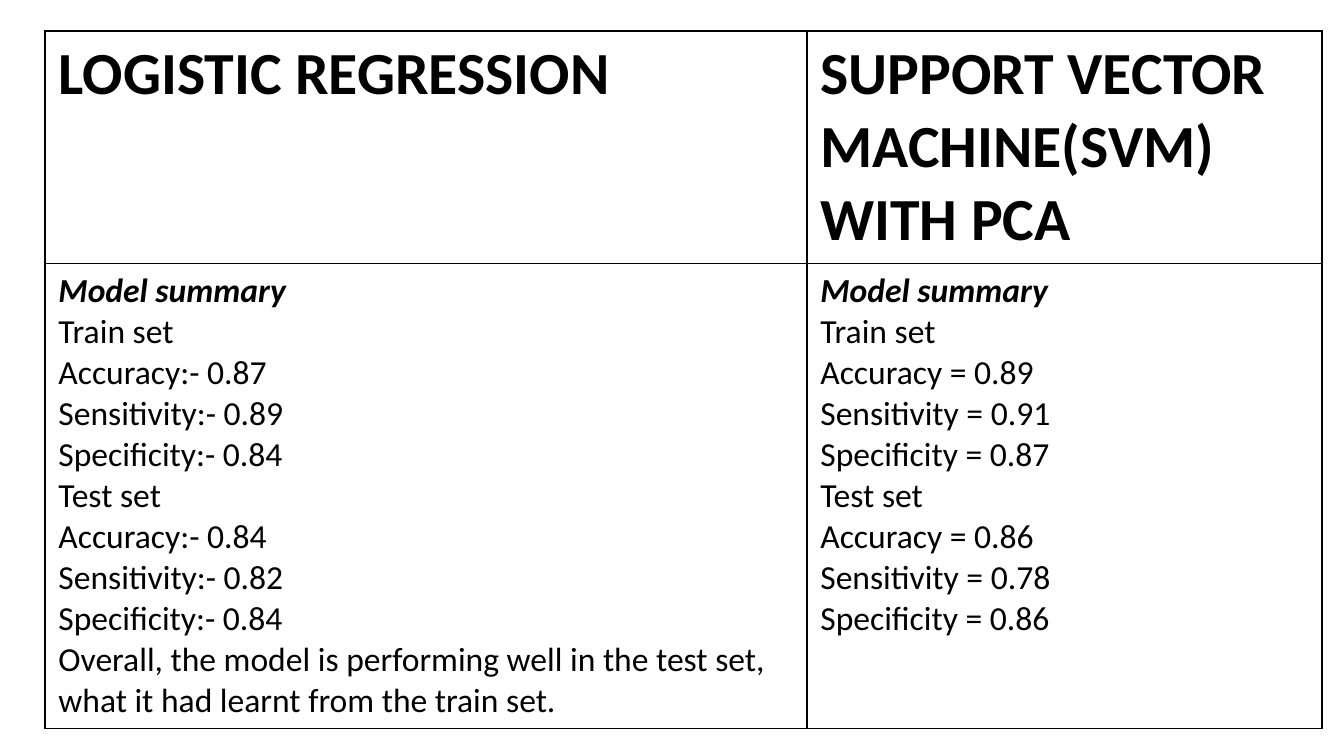
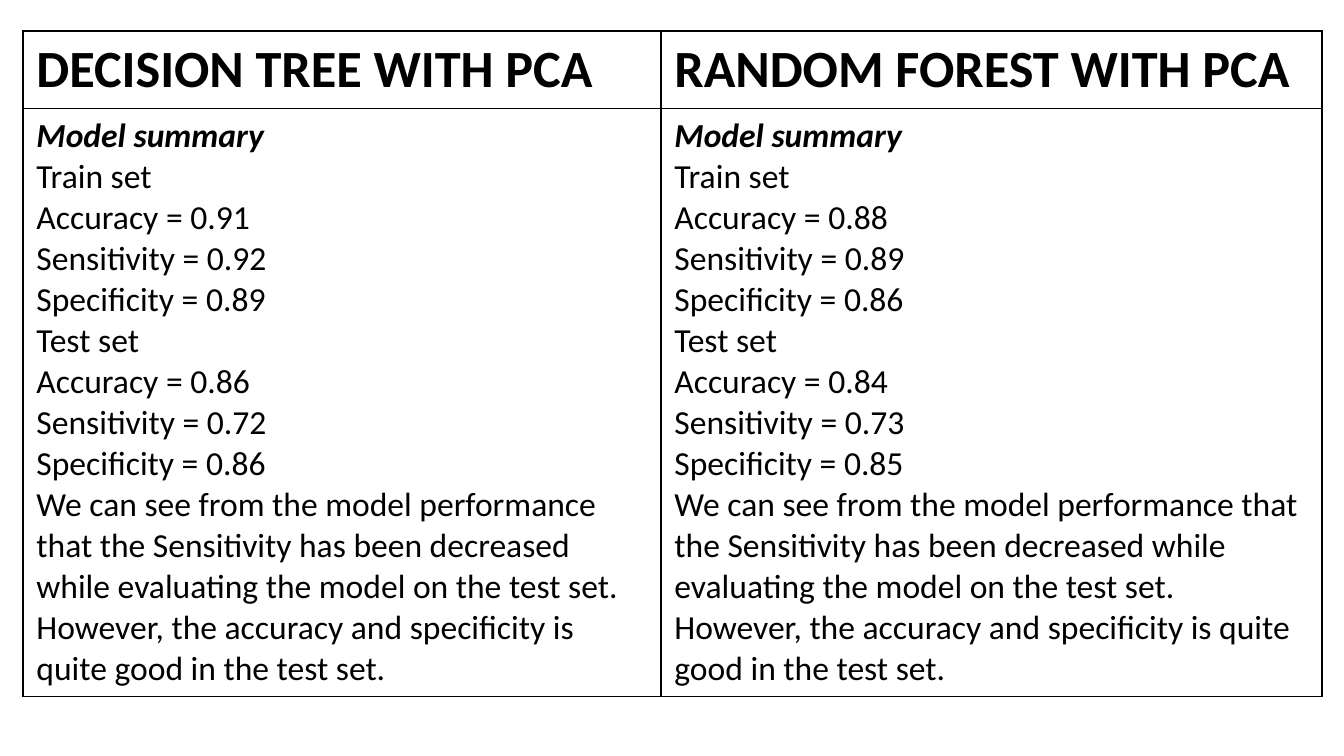
from lxml import etree
from pptx import Presentation
from pptx.dml.color import RGBColor
from pptx.enum.text import MSO_ANCHOR, PP_ALIGN
from pptx.oxml.ns import qn
from pptx.util import Pt

# Shared style
EMU_PER_PIXEL = 914400 / 134.4
PAGE_WIDTH, PAGE_HEIGHT = 1344, 756
TABLE_TOP = 31
BLACK = RGBColor(0x00, 0x00, 0x00)
FONT = "Calibri"
LEFT, TOP = PP_ALIGN.LEFT, MSO_ANCHOR.TOP
BORDER_SIDES = ("a:lnL", "a:lnR", "a:lnT", "a:lnB")
BODY = {"name": FONT, "size": Pt(18), "bold": False, "italic": False}
SUMMARY = {**BODY, "bold": True, "italic": True}

# Wording
MEASURES = ("Accuracy", "Sensitivity", "Specificity")
LEARNT = ("Overall, the model is performing well in the test set, "
          "what it had learnt from the train set.")
DECREASED = ("We can see from the model performance that the Sensitivity has been "
             "decreased while evaluating the model on the test set. However, the "
             "accuracy and specificity is quite good in the test set.")


def px(length):
    return round(length * EMU_PER_PIXEL)


def summary_lines(train, test, sign=" = ", remark=None):
    """List the scores of one model, set by set, with an optional remark."""
    lines = ["Model summary"]
    for name, scores in (("Train set", train), ("Test set", test)):
        lines.append(name)
        lines += [f"{measure}{sign}{score:.2f}"
                  for measure, score in zip(MEASURES, scores)]
    return lines + ([remark] if remark else [])


class ModelDeck:
    def __init__(self):
        self.deck = Presentation()
        self.deck.slide_width = px(PAGE_WIDTH)
        self.deck.slide_height = px(PAGE_HEIGHT)
        self.page = None

    def add_page(self):
        self.page = self.deck.slides.add_slide(self.deck.slide_layouts[6])

    def add_borders(self, cell):
        properties = cell._tc.get_or_add_tcPr()
        for side in BORDER_SIDES:
            line = etree.SubElement(properties, qn(side), w=str(Pt(1)))
            fill = etree.SubElement(line, qn("a:solidFill"))
            etree.SubElement(fill, qn("a:srgbClr"), val=str(BLACK))

    def fill_cell(self, cell, lines, formats):
        self.add_borders(cell)
        cell.fill.background()
        cell.vertical_anchor = TOP
        frame = cell.text_frame
        for index, (text, style) in enumerate(zip(lines, formats)):
            para = frame.add_paragraph() if index else frame.paragraphs[0]
            para.alignment = LEFT
            span = para.add_run()
            span.text = text
            for key, value in style.items():
                setattr(span.font, key, value)
            span.font.color.rgb = BLACK

    def add_comparison(self, left, widths, heights, heading_size, models):
        """Put each model in a column: heading above, summary below."""
        table = self.page.shapes.add_table(
            len(heights), len(widths), px(left), px(TABLE_TOP),
            px(sum(widths)), px(sum(heights))).table
        table.first_row = table.horz_banding = False
        for row, height in zip(table.rows, heights):
            row.height = px(height)
        heading_style = {**BODY, "size": Pt(heading_size), "bold": True}
        for index, (width, (heading, lines)) in enumerate(zip(widths, models)):
            table.columns[index].width = px(width)
            self.fill_cell(table.cell(0, index), [heading], [heading_style])
            styles = [SUMMARY] + [BODY] * (len(lines) - 1)
            self.fill_cell(table.cell(1, index), lines, styles)


models = ModelDeck()

# Logistic regression and support vector machine
models.add_page()
models.add_comparison(45, (762, 515), (232, 465), 32, [
    ("LOGISTIC REGRESSION",
     summary_lines((0.87, 0.89, 0.84), (0.84, 0.82, 0.84), ":- ", LEARNT)),
    ("SUPPORT VECTOR MACHINE(SVM) WITH PCA",
     summary_lines((0.89, 0.91, 0.87), (0.86, 0.78, 0.86))),
])

# Decision tree and random forest
models.add_page()
models.add_comparison(23, (638, 661), (77, 588), 28, [
    ("DECISION TREE WITH PCA",
     summary_lines((0.91, 0.92, 0.89), (0.86, 0.72, 0.86), remark=DECREASED)),
    ("RANDOM FOREST WITH PCA",
     summary_lines((0.88, 0.89, 0.86), (0.84, 0.73, 0.85), remark=DECREASED)),
])

models.deck.save("out.pptx")
